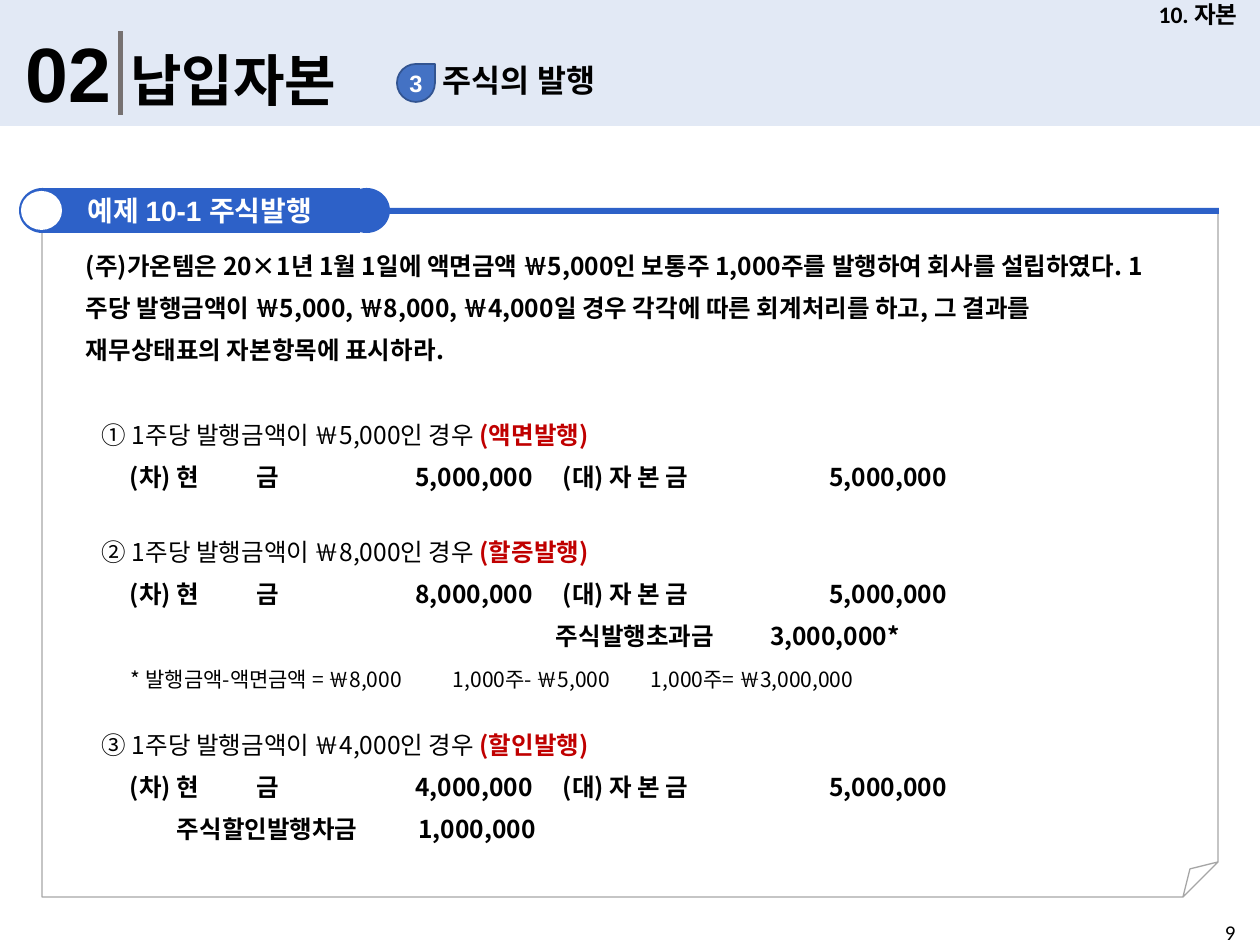
from lxml.etree import SubElement
from pptx import Presentation
from pptx.dml.color import RGBColor
from pptx.enum.shapes import MSO_SHAPE as Kind
from pptx.enum.text import MSO_ANCHOR as Anchor, PP_ALIGN as Align
from pptx.oxml.ns import qn
from pptx.util import Emu, Pt

KR = "Noto Sans CJK KR"
BLUE, RED, BLACK, WHITE = "2D61C8", "C00000", "000000", "FFFFFF"
MAIN = [(28, "l"), (155, "l"), (431, "r"), (461, "l"), (845, "r")]
EXTRA = [(454, "l"), (798, "r")]
LOSS = [(75, "l"), (434, "r")]
NOTE = [(29, "l"), (351, "l"), (549, "l")]


def px(n):
    return Emu(round(n * 914400 / 126))


def tint(text):
    return RGBColor.from_string(text)


def style(run, size, color=BLACK, bold=True, face="Calibri"):
    font = run.font
    font.size, font.bold, font.name = Pt(size), bold, face
    font.color.rgb = tint(color)
    SubElement(run._r.get_or_add_rPr(), qn("a:ea")).set("typeface", KR)


def block(slide, kind, box, fill=None, line=None, width=1):
    shape = slide.shapes.add_shape(kind, *map(px, box))
    shape.shadow.inherit = False
    if fill:
        shape.fill.solid()
        shape.fill.fore_color.rgb = tint(fill)
    else:
        shape.fill.background()
    if line:
        shape.line.color.rgb = tint(line)
        shape.line.width = Pt(width)
    else:
        shape.line.fill.background()
    return shape


def fit(frame, wrap=True, side=13):
    frame.word_wrap = wrap
    frame.margin_left = frame.margin_right = px(side)
    frame.margin_top = frame.margin_bottom = px(6)


def label(slide, box, text, size, face="Calibri", bold=True):
    frame = slide.shapes.add_textbox(*map(px, box)).text_frame
    fit(frame)
    frame.text = text
    style(frame.paragraphs[0].runs[0], size, bold=bold, face=face)
    return frame


def tabs(para, stops):
    group = SubElement(para._p.get_or_add_pPr(), qn("a:tabLst"))
    for pos, side in stops:
        stop = SubElement(group, qn("a:tab"))
        stop.set("pos", str(px(pos)))
        stop.set("algn", side)


def head(slide, box):
    x, y, w, h = box
    band = block(slide, Kind.RECTANGLE, box, "DAE3F3")
    tone = next(band.element.iter(qn("a:srgbClr")))
    SubElement(tone, qn("a:alpha")).set("val", "76000")
    title = slide.shapes.title
    title.element.addprevious(band.element)
    title.left, title.top, title.width, title.height = map(
        px, (x + 117, y + 40, 559, 81))
    frame = title.text_frame
    fit(frame)
    frame.vertical_anchor = Anchor.TOP
    frame.text = "납입자본"
    frame.paragraphs[0].alignment = Align.LEFT
    style(frame.paragraphs[0].runs[0], 32)
    label(slide, (x + 13, y + 20, 115, 106), "02", 44, "Arial")
    block(slide, Kind.RECTANGLE, (x + 118, y + 31, 5, 84), "767171")
    label(slide, (x + 430, y + 55, 508, 50), "주식의 발행", 18)
    drop = block(slide, Kind.TEAR, (x + 397, y + 64, 38, 38),
                 "4472C4", "325491")
    frame = drop.text_frame
    fit(frame, False)
    frame.vertical_anchor = Anchor.MIDDLE
    frame.text = "3"
    frame.paragraphs[0].alignment = Align.CENTER
    style(frame.paragraphs[0].runs[0], 13.5, WHITE, face="Arial")
    frame = label(slide, (x + w - 124, y, 124, 29), "10. 자본", 13.5)
    frame.vertical_anchor = Anchor.MIDDLE
    frame.paragraphs[0].alignment = Align.CENTER


def panel(slide, box):
    x, y, w, h = box
    page = block(slide, Kind.FOLDED_CORNER, (x + 23, y + 22, w - 24, h - 22),
                 None, "A6A6A6", 0.75)
    fold = SubElement(next(page.element.iter(qn("a:avLst"))), qn("a:gd"))
    fold.set("name", "adj")
    fold.set("fmla", "val 5100")
    block(slide, Kind.RECTANGLE, (x + 24, y + 20, w - 24, 6), BLUE)
    for left in (0, 324):
        block(slide, Kind.OVAL, (x + left, y, 47, 45), BLUE)
    bar = block(slide, Kind.RECTANGLE, (x + 21, y, 320, 45), BLUE)
    block(slide, Kind.OVAL, (x + 2, y + 3, 41, 39), WHITE)
    frame = bar.text_frame
    fit(frame)
    frame.vertical_anchor = Anchor.MIDDLE
    para = frame.paragraphs[0]
    para.text = "예제 "
    para.add_run().text = "10-1 주식발행"
    para.alignment = Align.CENTER
    for run, face in zip(para.runs, ("Calibri", "Arial")):
        style(run, 16, WHITE, face=face)


def task(slide, box, text):
    frame = label(slide, box, text, 14, KR)
    fit(frame, side=14)
    frame.paragraphs[0].line_spacing = Pt(24)


def case(slide, box, lead, name, rows):
    frame = label(slide, box, lead, 14, KR, False)
    fit(frame, side=14)
    para = frame.paragraphs[0]
    para.line_spacing = Pt(24)
    run = para.add_run()
    run.text = name
    style(run, 14, RED, face=KR)
    for text, stops in rows:
        para = frame.add_paragraph()
        para.line_spacing = Pt(24)
        tabs(para, stops)
        para.text = text
        note = stops is NOTE
        style(para.runs[0], 12 if note else 14, bold=not note, face=KR)


def entry(cash):
    return f"\t(차) 현\t금\t{cash}\t(대) 자 본 금\t5,000,000", MAIN


def main():
    deck = Presentation()
    deck.slide_width, deck.slide_height = px(1260), px(945)
    slide = deck.slides.add_slide(deck.slide_layouts[5])
    head(slide, (0, 0, 1260, 126))
    panel(slide, (19, 188, 1200, 709))
    task(slide, (72, 232, 1106, 150),
         "(주)가온템은 20×1년 1월 1일에 액면금액 ￦5,000인 보통주 1,000주를 "
         "발행하여 회사를 설립하였다. 1주당 발행금액이 ￦5,000, ￦8,000, "
         "￦4,000일 경우 각각에 따른 회계처리를 하고, 그 결과를 "
         "재무상태표의 자본항목에 표시하라.")
    cases = [
        (401, 108, "①", "5,000", "액면발행", []),
        (518, 186, "②", "8,000", "할증발행", [
            ("\t주식발행초과금\t3,000,000*", EXTRA),
            ("\t* 발행금액-액면금액 = ￦8,000\t1,000주- ￦5,000"
             "\t1,000주= ￦3,000,000", NOTE)]),
        (711, 137, "③", "4,000", "할인발행", [
            ("\t주식할인발행차금\t1,000,000", LOSS)]),
    ]
    for top, high, mark, price, name, rows in cases:
        case(slide, (88, top, 1071, high),
             f"{mark} 1주당 발행금액이 ￦{price}인 경우 ", f"({name})",
             [entry(price + ",000"), *rows])
    label(slide, (1212, 914, 48, 31), "9", 12, bold=False)
    deck.save("out.pptx")


if __name__ == "__main__":
    main()
